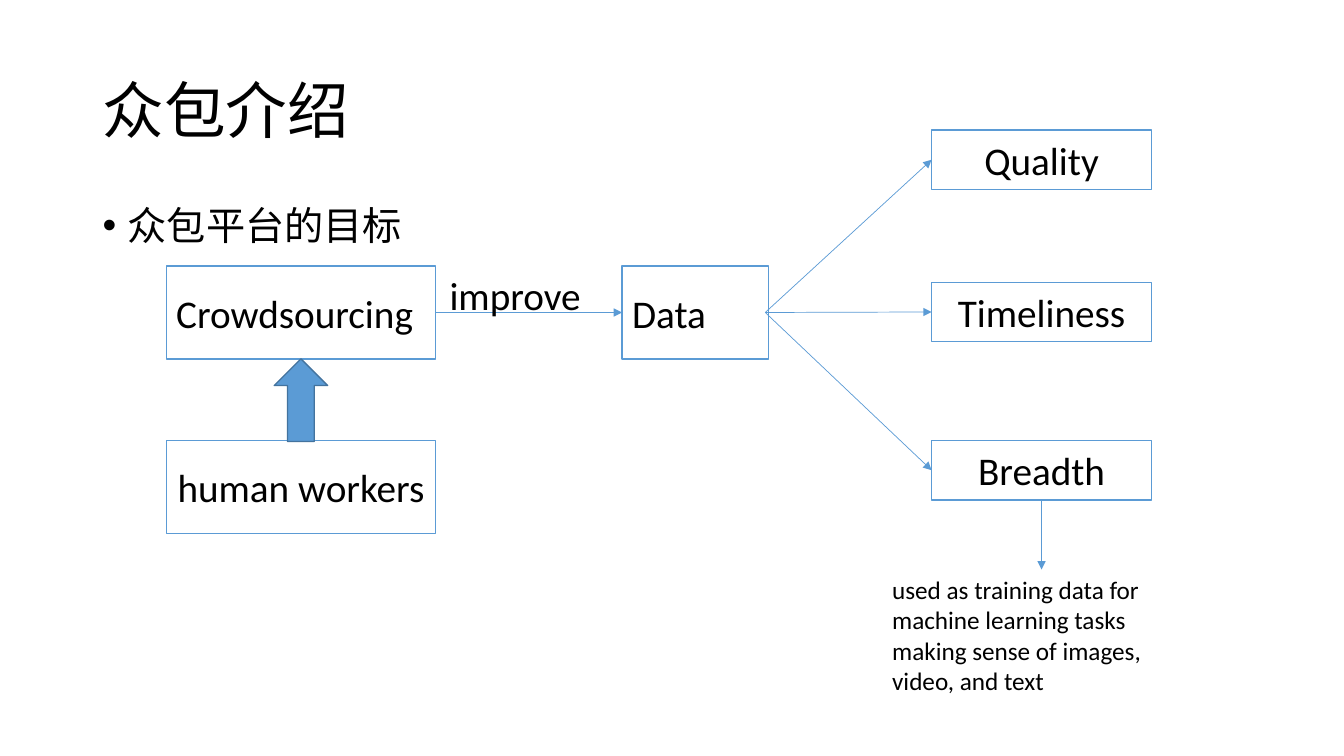
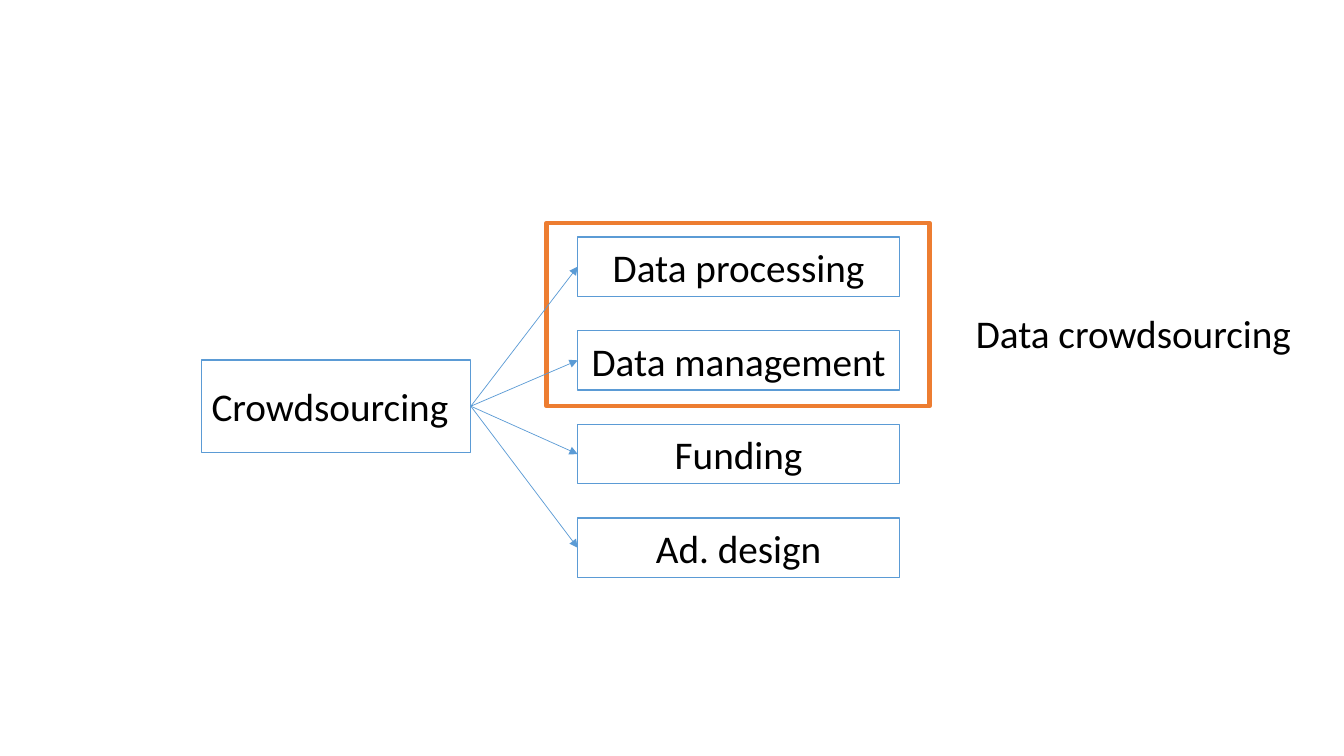
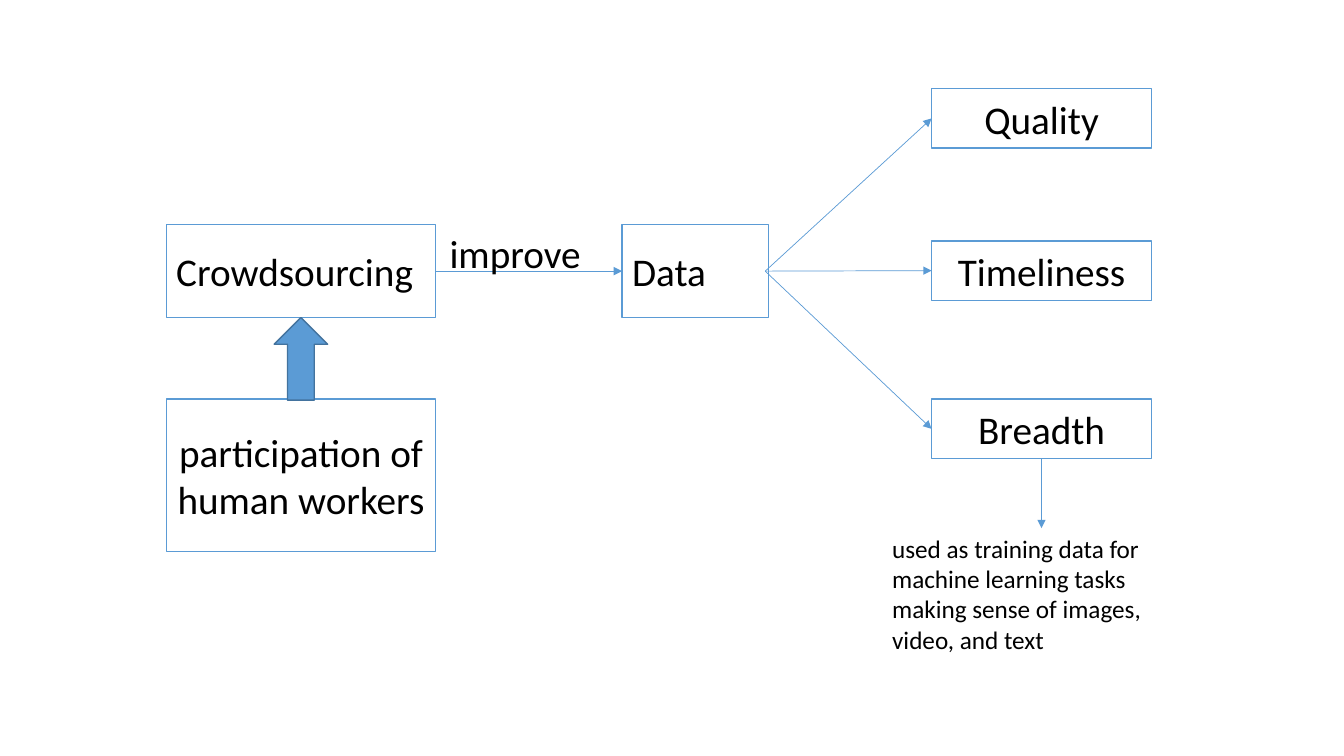
from lxml.etree import SubElement
from pptx import Presentation
from pptx.dml.color import RGBColor
from pptx.enum.shapes import MSO_CONNECTOR, MSO_SHAPE
from pptx.enum.text import MSO_ANCHOR, MSO_AUTO_SIZE, PP_ALIGN
from pptx.oxml.ns import qn
from pptx.util import Inches, Pt

BLACK = RGBColor(0x00, 0x00, 0x00)
WHITE = RGBColor(0xFF, 0xFF, 0xFF)
BLUE = RGBColor(0x5B, 0x9B, 0xD5)
DARK_BLUE = RGBColor(0x43, 0x73, 0x9E)
ORANGE = RGBColor(0xED, 0x7D, 0x31)

FONT = "Calibri"
TITLE_SIZE, BODY_SIZE, NOTE_SIZE = 44, 28, 18
BOX_HEIGHT, LABEL_HEIGHT = 0.92, 0.59


class Deck:
    """Holds the style and the current slide."""

    def __init__(self):
        self.presentation = Presentation()
        self.presentation.slide_width = Inches(13.33)
        self.presentation.slide_height = Inches(7.5)
        self.slide = None

    def new_slide(self):
        self.slide = self.presentation.slides.add_slide(self.presentation.slide_layouts[6])

    def set_text(self, shape, text, size=BODY_SIZE, align=PP_ALIGN.LEFT):
        paragraph = shape.text_frame.paragraphs[0]
        paragraph.text = text
        paragraph.alignment = align
        for run in paragraph.runs:
            run.font.name = FONT
            run.font.size = Pt(size)
            run.font.color.rgb = BLACK
        return paragraph

    def text(self, left, top, width, height, text, size=BODY_SIZE, wrap=True,
             anchor=MSO_ANCHOR.TOP, grow=True):
        shape = self.slide.shapes.add_textbox(
            Inches(left), Inches(top), Inches(width), Inches(height))
        frame = shape.text_frame
        frame.word_wrap = wrap
        frame.vertical_anchor = anchor
        frame.auto_size = MSO_AUTO_SIZE.SHAPE_TO_FIT_TEXT if grow else MSO_AUTO_SIZE.NONE
        return self.set_text(shape, text, size)

    def title(self, text):
        paragraph = self.text(0.92, 0.4, 11.5, 1.45, text, TITLE_SIZE,
                              anchor=MSO_ANCHOR.MIDDLE, grow=False)
        paragraph.line_spacing = 0.9

    def bullet(self, text):
        paragraph = self.text(0.92, 2, 11.5, 4.76, text, grow=False)
        properties = paragraph._p.get_or_add_pPr()
        properties.set("marL", str(Inches(0.25)))
        properties.set("indent", str(-Inches(0.25)))
        SubElement(properties, qn("a:buFont"), typeface="Arial")
        SubElement(properties, qn("a:buChar"), char="•")
        paragraph.line_spacing = 0.9

    def shape(self, left, top, width, height, kind=MSO_SHAPE.RECTANGLE,
              fill=WHITE, line=BLUE, line_width=1):
        shape = self.slide.shapes.add_shape(
            kind, Inches(left), Inches(top), Inches(width), Inches(height))
        shape.shadow.inherit = False
        shape.fill.solid()
        shape.fill.fore_color.rgb = fill
        shape.line.color.rgb = line
        shape.line.width = Pt(line_width)
        return shape

    def box(self, left, top, width, height, text, align=PP_ALIGN.CENTER):
        shape = self.shape(left, top, width, height)
        shape.text_frame.word_wrap = True
        shape.text_frame.vertical_anchor = MSO_ANCHOR.MIDDLE
        self.set_text(shape, text, align=align)

    def arrow(self, start, end):
        connector = self.slide.shapes.add_connector(
            MSO_CONNECTOR.STRAIGHT, *(Inches(length) for length in (*start, *end)))
        connector.line.color.rgb = BLUE
        connector.line.width = Pt(0.5)
        properties = connector._element.spPr
        SubElement(properties.find(qn("a:ln")), qn("a:tailEnd"), type="triangle")
        SubElement(properties, qn("a:effectLst"))

    def fan(self, start, left, width, labels):
        """Label boxes in a column, each reached by an arrow from start."""
        for text, top in labels:
            self.box(left, top, width, LABEL_HEIGHT, text)
        for _, top in labels:
            self.arrow(start, (left, top + LABEL_HEIGHT / 2))

    def data_flow(self, top, workers, workers_height):
        """Workers feed crowdsourcing, which improves three sides of data."""
        middle = top + BOX_HEIGHT / 2
        workers_top = top + 1.73
        # Data and its qualities
        self.box(6.17, top, 1.45, BOX_HEIGHT, "Data", PP_ALIGN.LEFT)
        self.fan((7.59, middle), 9.24, 2.18, [
            ("Quality", top - 1.35), ("Timeliness", top + 0.16), ("Breadth", workers_top)])
        # Crowdsourcing and its workers
        self.box(1.65, top, 2.67, BOX_HEIGHT, "Crowdsourcing", PP_ALIGN.LEFT)
        self.arrow((4.32, middle), (6.17, middle))
        self.text(4.36, top, 1.61, 0.57, "improve", wrap=False)
        self.box(1.65, workers_top, 2.67, workers_height, workers)
        self.shape(2.72, top + BOX_HEIGHT, 0.53, 0.82, MSO_SHAPE.UP_ARROW, BLUE, DARK_BLUE)
        # Use of the data
        note_top = top + 3.01
        self.text(8.75, note_top, 3.15, 1.31,
                  "used as training data for machine learning tasks \v"
                  "making sense of images, video, and text", NOTE_SIZE)
        self.arrow((10.33, workers_top + LABEL_HEIGHT), (10.33, note_top))


def main():
    deck = Deck()

    # Goal of a crowdsourcing platform
    deck.new_slide()
    deck.title("众包介绍")
    deck.bullet("众包平台的目标")
    deck.data_flow(2.64, "human workers", BOX_HEIGHT)

    # Kinds of crowdsourcing
    deck.new_slide()
    deck.shape(5.42, 2.21, 3.8, 1.82, line=ORANGE, line_width=3)
    deck.box(2, 3.57, 2.67, BOX_HEIGHT, "Crowdsourcing", PP_ALIGN.LEFT)
    kinds = ["Data processing", "Data management", "Funding", "Ad. design"]
    deck.fan((4.67, 4.03), 5.73, 3.19,
             [(kind, 2.35 + 0.93 * row) for row, kind in enumerate(kinds)])
    deck.text(9.58, 3.02, 3.36, 0.57, "Data crowdsourcing", wrap=False)

    # Participation of workers
    deck.new_slide()
    deck.data_flow(2.23, "participation of human workers", 1.51)

    deck.presentation.save("out.pptx")


if __name__ == "__main__":
    main()
